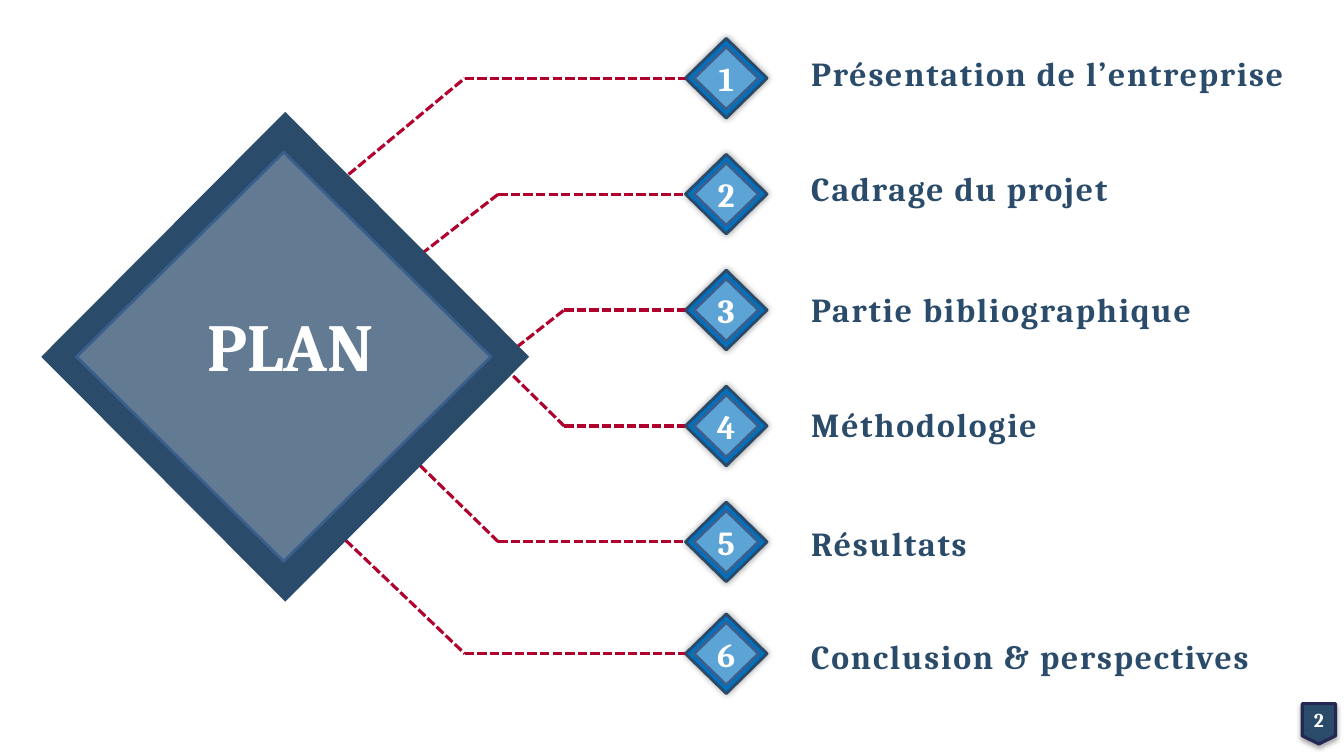
from lxml.etree import SubElement
from pptx import Presentation
from pptx.dml.color import RGBColor
from pptx.enum.dml import MSO_LINE
from pptx.enum.shapes import MSO_CONNECTOR, MSO_SHAPE
from pptx.enum.text import MSO_ANCHOR, MSO_AUTO_SIZE, PP_ALIGN
from pptx.oxml.ns import qn
from pptx.util import Pt

NAVY = "2A4B6A"
NODE_LEFT, NODE_WIDTH, NODE_HEIGHT = 489.6, 58.3, 56.9
INNER_WIDTH, INNER_HEIGHT = 46, 44.6
LABEL_LEFT, LABEL_WIDTH, LABEL_HEIGHT = 572.4, 360, 36

# label, node top, label bottom, leader start, bend x
CHAPTERS = [
    ("Présentation de l’entreprise", 27.4, 70.6, (249, 124.6), 332),
    ("Cadrage du projet", 110.2, 152.6, (301, 181.4), 356),
    ("Partie bibliographique", 193, 239, (319.7, 286.6), 403),
    ("Méthodologie", 275.8, 321.1, (321.8, 224.6), 403),
    ("Résultats", 358.6, 406.1, (274.3, 307.4), 356),
    ("Conclusion & perspectives", 438.5, 486.7, (247, 386), 332),
]


def rgb(value):
    return RGBColor.from_string(value)


def add_element(parent, tag, **attributes):
    return SubElement(parent, qn(tag), attributes)


def add_panel(page, preset, left, top, width, height, fill, line=None, weight=2, alpha=None):
    panel = page.shapes.add_shape(preset, Pt(left), Pt(top), Pt(width), Pt(height))
    panel.shadow.inherit = False
    panel.fill.solid()
    panel.fill.fore_color.rgb = rgb(fill)
    if alpha:
        color = panel._element.spPr.find(qn("a:solidFill"))[0]
        add_element(color, "a:alpha", val=str(alpha * 1000))
    if line:
        panel.line.color.rgb = rgb(line)
        panel.line.width = Pt(weight)
    else:
        panel.line.fill.background()
    return panel


def add_shadow(panel, opacity, blur, distance=0, angle=0):
    effects = panel._element.spPr.find(qn("a:effectLst"))
    shadow = add_element(effects, "a:outerShdw", blurRad=str(Pt(blur)), dist=str(Pt(distance)),
                         dir=str(angle * 60000), algn="ctr", rotWithShape="0")
    color = add_element(shadow, "a:srgbClr", val="000000")
    add_element(color, "a:alpha", val=str(opacity * 1000))


def write_text(box, text, size, color="FFFFFF", align=PP_ALIGN.CENTER, anchor=MSO_ANCHOR.MIDDLE):
    frame = box.text_frame
    frame.text = text
    frame.vertical_anchor = anchor
    para = frame.paragraphs[0]
    para.alignment = align
    span = para.runs[0]
    span.font.name = "Cambria"
    span.font.size = Pt(size)
    span.font.bold = True
    span.font.color.rgb = rgb(color)
    return para


def clear_margins(box):
    frame = box.text_frame
    frame.word_wrap = False
    frame.margin_left = frame.margin_right = frame.margin_top = frame.margin_bottom = 0


def add_node(page, number, top):
    node = add_panel(page, MSO_SHAPE.DIAMOND, NODE_LEFT, top, NODE_WIDTH, NODE_HEIGHT,
                     "0070C0", "2A4A68")
    add_shadow(node, 40, 5)
    inner = add_panel(page, MSO_SHAPE.DIAMOND, NODE_LEFT + (NODE_WIDTH - INNER_WIDTH) / 2,
                      top + (NODE_HEIGHT - INNER_HEIGHT) / 2, INNER_WIDTH, INNER_HEIGHT,
                      "FFFFFF", "3A5F8C", alpha=36)
    write_text(inner, str(number), 24)
    clear_margins(inner)
    return node


def add_label(page, text, bottom):
    label = page.shapes.add_textbox(Pt(LABEL_LEFT), Pt(bottom - LABEL_HEIGHT),
                                    Pt(LABEL_WIDTH), Pt(LABEL_HEIGHT))
    label.text_frame.word_wrap = True
    para = write_text(label, text, 24, NAVY, PP_ALIGN.LEFT, MSO_ANCHOR.BOTTOM)
    para.line_spacing = 0.9
    para.runs[0].font._element.set("spc", "130")


def add_dashed_line(page, start, end):
    line = page.shapes.add_connector(MSO_CONNECTOR.STRAIGHT, *(Pt(value) for value in start + end))
    line.line.color.rgb = rgb("B0002E")
    line.line.width = Pt(2.25)
    line.line.dash_style = MSO_LINE.SQUARE_DOT
    add_element(line._element.spPr, "a:effectLst")
    return line


def add_leader(page, start, bend_x, node, node_top):
    middle = node_top + NODE_HEIGHT / 2
    bend = (bend_x, middle)
    add_dashed_line(page, start, bend)
    add_dashed_line(page, bend, (NODE_LEFT, middle)).end_connect(node, 1)


def add_plan_title(page):
    add_panel(page, MSO_SHAPE.DIAMOND, 29.5, 79.9, 348.5, 349.9, NAVY)
    add_panel(page, MSO_SHAPE.DIAMOND, 54.7, 108.7, 295.9, 292.3, "FFFFFF", "3A5F8C", alpha=27)
    title = page.shapes.title
    title.left, title.top, title.width, title.height = Pt(141.1), Pt(213.8), Pt(141.8), Pt(65.5)
    title.text_frame.auto_size = MSO_AUTO_SIZE.NONE
    write_text(title, "PLAN", 48, align=PP_ALIGN.LEFT, anchor=MSO_ANCHOR.TOP)
    page.shapes._spTree.append(title._element)


def add_page_badge(page):
    badge = add_panel(page, MSO_SHAPE.FLOWCHART_OFFPAGE_CONNECTOR, 930.2, 502.6, 23.8, 28.8,
                      NAVY, "242852", 2.25)
    add_shadow(badge, 32, 3.5, 2.2, 90)
    write_text(badge, "2", 14)
    clear_margins(badge)


def main():
    deck = Presentation()
    deck.slide_width, deck.slide_height = Pt(960), Pt(540)
    page = deck.slides.add_slide(deck.slide_layouts[5])
    for number, (text, top, bottom, start, bend_x) in enumerate(CHAPTERS, 1):
        node = add_node(page, number, top)
        add_label(page, text, bottom)
        add_leader(page, start, bend_x, node, top)
    add_plan_title(page)
    add_page_badge(page)
    deck.save("out.pptx")


if __name__ == "__main__":
    main()
